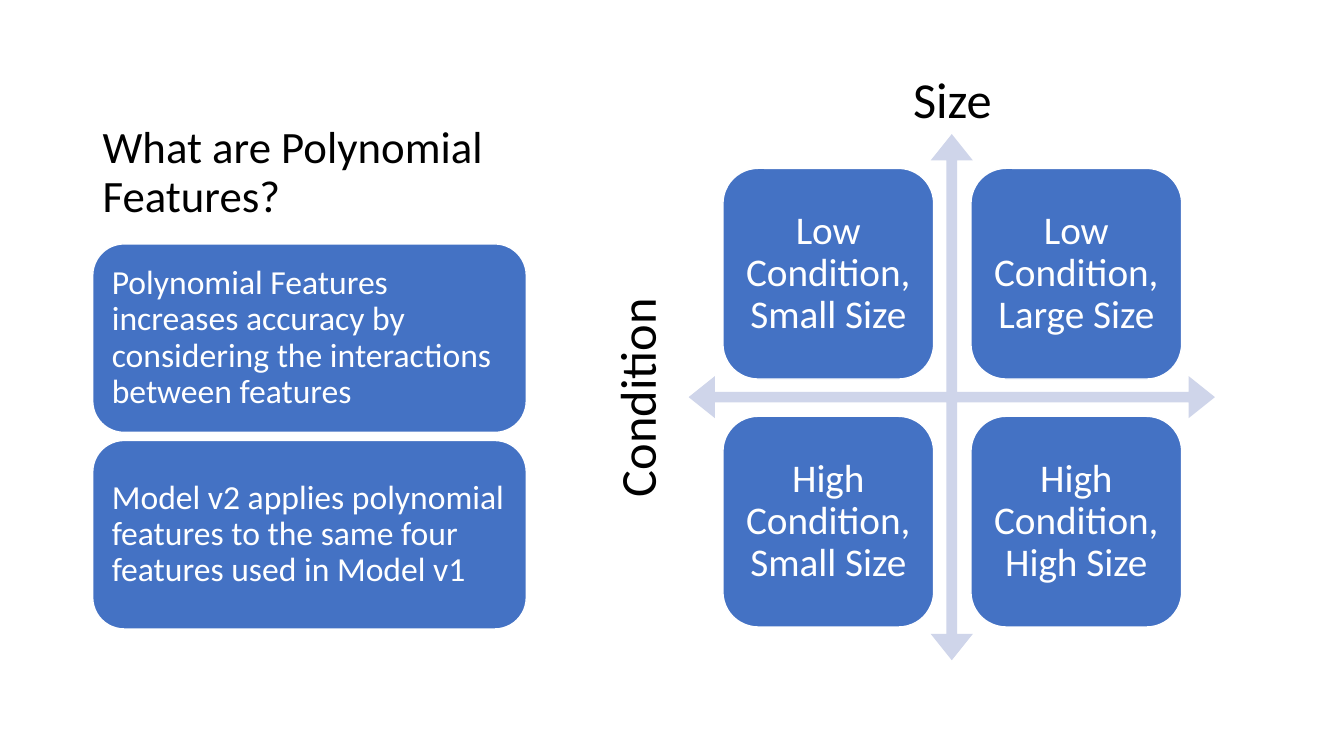
from dataclasses import dataclass

from pptx import Presentation
from pptx.dml.color import RGBColor
from pptx.enum.shapes import MSO_SHAPE
from pptx.enum.text import MSO_ANCHOR, PP_ALIGN
from pptx.util import Emu, Pt


@dataclass(frozen=True)
class Theme:
    font: str = "Calibri"
    ink: RGBColor = RGBColor(0x00, 0x00, 0x00)
    white: RGBColor = RGBColor(0xFF, 0xFF, 0xFF)
    card: RGBColor = RGBColor(0x44, 0x72, 0xC4)
    arrow: RGBColor = RGBColor(0xCF, 0xD5, 0xEA)
    title_size: int = 32
    point_size: int = 24
    quadrant_size: int = 28
    axis_size: int = 36


theme = Theme()
PX = 9144  # 100 px to the inch


def write(box, text, size, color, align=PP_ALIGN.LEFT, anchor=MSO_ANCHOR.MIDDLE, spacing=0.9):
    frame = box.text_frame
    frame.word_wrap = True
    frame.vertical_anchor = anchor
    para = frame.paragraphs[0]
    para.alignment = align
    para.line_spacing = spacing
    span = para.add_run()
    span.text = text
    span.font.name = theme.font
    span.font.size = Pt(size)
    span.font.color.rgb = color


def add_card(left, top, width, height, inset, text, size, align):
    """Add a blue rounded card with its text inside."""
    card = page.shapes.add_shape(
        MSO_SHAPE.ROUNDED_RECTANGLE, *(Emu(n * PX) for n in (left, top, width, height)))
    card.shadow.inherit = False
    card.fill.solid()
    card.fill.fore_color.rgb = theme.card
    card.line.color.rgb = theme.white
    card.line.width = Pt(1)
    frame = card.text_frame
    frame.margin_left = frame.margin_right = Emu(inset * PX)
    frame.margin_top = frame.margin_bottom = Emu(inset * PX)
    write(card, text, size, theme.white, align)


deck = Presentation()
deck.slide_width = Emu(1333 * PX)
deck.slide_height = Emu(750 * PX)
page = deck.slides.add_slide(deck.slide_layouts[6])

# Title
title = page.shapes.add_textbox(*(Emu(n * PX) for n in (92, 50, 430, 175)))
write(title, "What are Polynomial Features?", theme.title_size, theme.ink,
      anchor=MSO_ANCHOR.BOTTOM)

# Explanation cards
points = [
    "Polynomial Features increases accuracy by considering the interactions between features",
    "Model v2 applies polynomial features to the same four features used in Model v1",
]
for index, point in enumerate(points):
    add_card(92, 242 + index * 195, 430, 187, 10, point, theme.point_size, PP_ALIGN.LEFT)

# Quadrant matrix
axes = page.shapes.add_shape(
    MSO_SHAPE.QUAD_ARROW, *(Emu(n * PX) for n in (683, 133, 522, 522)))
axes.shadow.inherit = False
axes.fill.solid()
axes.fill.fore_color.rgb = theme.arrow
axes.line.fill.background()
for index, ratio in enumerate((0.02, 0.04, 0.05)):
    axes.adjustments[index] = ratio

quadrants = [
    ["Low Condition, Small Size", "Low Condition, Large Size"],
    ["High Condition, Small Size", "High Condition, High Size"],
]
for row, labels in enumerate(quadrants):
    for column, label in enumerate(labels):
        add_card(717 + column * 246, 167 + row * 246, 209, 209, 11, label,
                 theme.quadrant_size, PP_ALIGN.CENTER)

# Axis names
for name, left, top, width, rotation in (
    ("Condition", 521, 359, 220, 270),
    ("Size", 895, 63, 99, 0),
):
    axis = page.shapes.add_textbox(*(Emu(n * PX) for n in (left, top, width, 71)))
    axis.rotation = rotation
    write(axis, name, theme.axis_size, theme.ink, PP_ALIGN.CENTER, MSO_ANCHOR.TOP, 1.0)
    axis.text_frame.word_wrap = False

deck.save("out.pptx")
